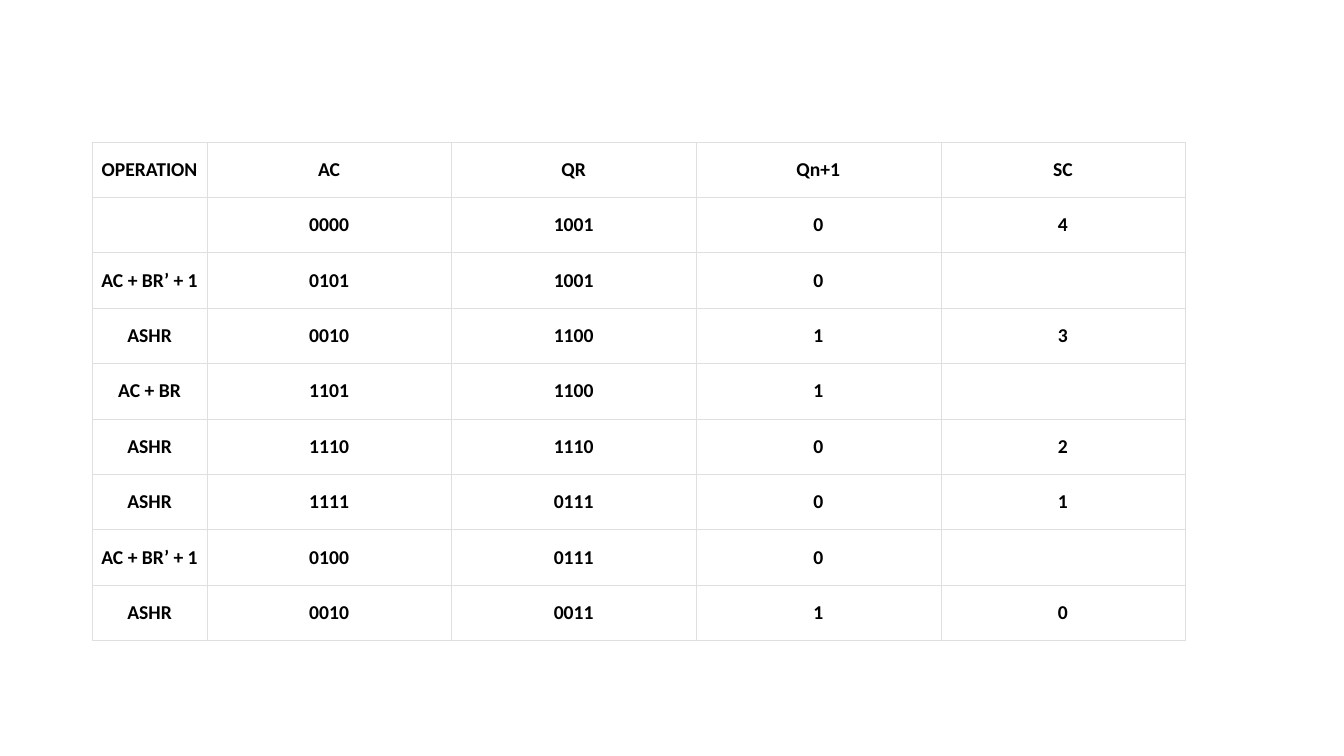
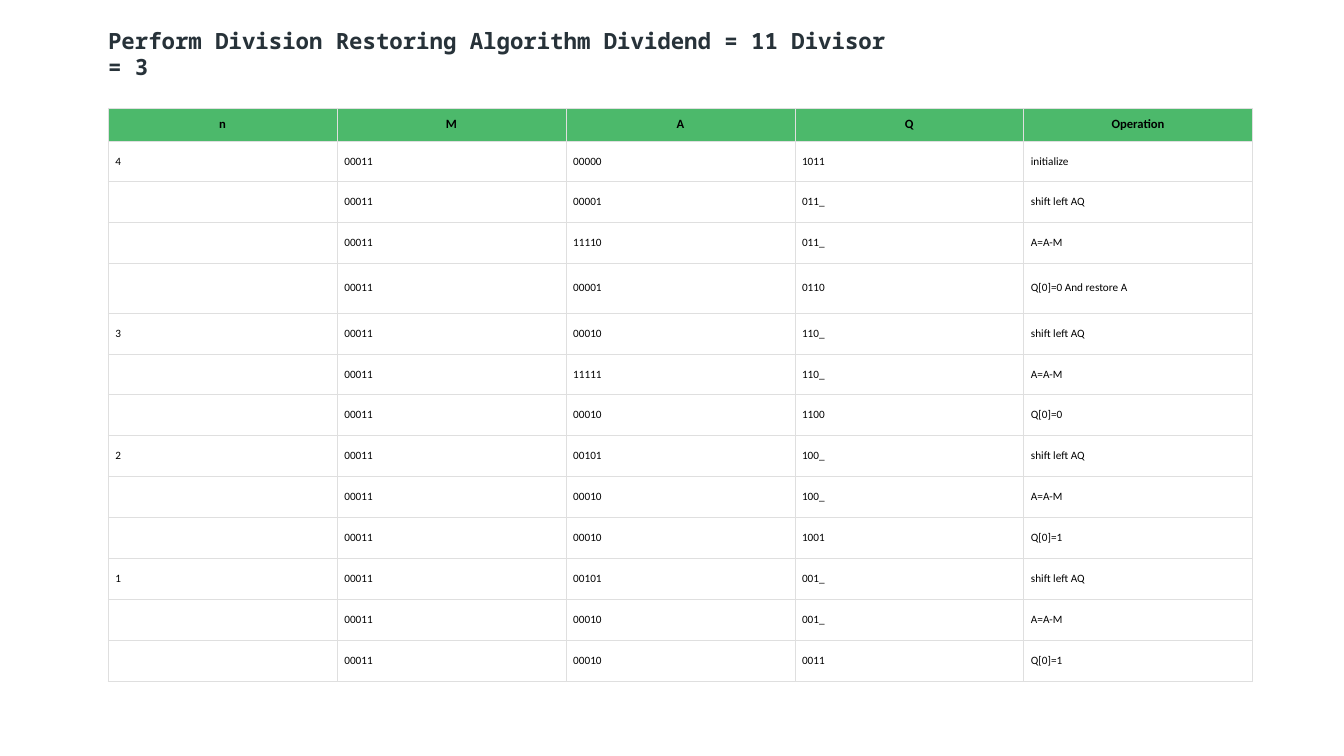
import pptx
import pptx.dml.color
import pptx.enum.text
import pptx.oxml
import pptx.oxml.ns
import pptx.util

PX = 9525
BODY_FONT, TITLE_FONT = "Calibri", "Noto Sans Mono"
BLACK, WHITE, INK, GREEN, GRID = "000000", "FFFFFF", "273239", "4CB96B", "DFDFDF"
LEFT = pptx.enum.text.PP_ALIGN.LEFT
CENTER = pptx.enum.text.PP_ALIGN.CENTER
MIDDLE = pptx.enum.text.MSO_ANCHOR.MIDDLE


def px(n):
    """Turn px into EMU."""
    return pptx.util.Emu(round(n * PX))


def rgb(color):
    """Turn a hex string into a colour."""
    return pptx.dml.color.RGBColor.from_string(color)


def write(tf, text, size=14, font=BODY_FONT, color=BLACK, bold=False, align=LEFT):
    """Write one formatted paragraph into a text frame."""
    p = tf.paragraphs[0]
    p.alignment = align
    if not text:
        p._p.get_or_add_endParaRPr().set("sz", str(size * 100))
        return
    r = p.add_run()
    r.text = text
    r.font.size = pptx.util.Pt(size)
    r.font.name = font
    r.font.bold = bold
    r.font.color.rgb = rgb(color)


def inset(box, left, top, right, bottom):
    """Set the inner margins of a cell or text frame."""
    box.margin_left, box.margin_top = px(left), px(top)
    box.margin_right, box.margin_bottom = px(right), px(bottom)


def border(cell, color=GRID, points=0.23):
    """Draw a thin line on all four sides of a cell."""
    for side in "LRTB":
        cell._tc.get_or_add_tcPr().append(pptx.oxml.parse_xml(
            f'<a:ln{side} {pptx.oxml.ns.nsdecls("a")} w="{pptx.util.Pt(points)}">'
            f'<a:solidFill><a:srgbClr val="{color}"/></a:solidFill></a:ln{side}>'))


class Deck:
    """Holds the presentation, its style and the current slide."""

    def __init__(self):
        """Start an empty widescreen presentation."""
        self.prs = pptx.Presentation()
        self.prs.slide_width, self.prs.slide_height = px(1280), px(720)

    def slide(self):
        """Add a blank slide and make it current."""
        self.s = self.prs.slides.add_slide(self.prs.slide_layouts[6])

    def title(self, text, x, y, w, h):
        """Add a slide title."""
        tf = self.s.shapes.add_textbox(px(x), px(y), px(w), px(h)).text_frame
        tf.word_wrap = True
        tf.auto_size = pptx.enum.text.MSO_AUTO_SIZE.SHAPE_TO_FIT_TEXT
        tf.vertical_anchor = MIDDLE
        inset(tf, 0, 0, 0, 10)
        write(tf, text, size=16, font=TITLE_FONT, color=INK, bold=True)

    def table(self, rows, x, y, widths, heights, style):
        """Add a table; style(row, column) gives fill, insets and text format."""
        frame = self.s.shapes.add_table(len(rows), len(widths), px(x), px(y),
                                        px(sum(widths)), px(sum(heights)))
        table = frame.table
        table.first_row = table.horz_banding = False
        for column, w in zip(table.columns, widths):
            column.width = px(w)
        for row, h in zip(table.rows, heights):
            row.height = px(h)
        for i, texts in enumerate(rows):
            for j, text in enumerate(texts):
                cell = table.cell(i, j)
                fill, margins, text_format = style(i, j)
                border(cell)
                cell.fill.solid()
                cell.fill.fore_color.rgb = rgb(fill)
                cell.vertical_anchor = MIDDLE
                inset(cell, *margins)
                write(cell.text_frame, text, **text_format)


def multiplication_style(i, j):
    """Style the multiplication table, with a tighter first column."""
    side = 10 if j else 4
    return WHITE, (side, 10, side, 10), dict(size=14, bold=True, align=CENTER)


def division_style(i, j):
    """Style the division table, with a green header row."""
    if i == 0:
        return GREEN, (6, 6, 6, 6), dict(size=9, bold=True, align=CENTER)
    return WHITE, (7, 10, 7, 10), dict(size=8)


def main():
    """Build both slides and save them."""
    deck = Deck()

    deck.slide()
    multiplication = [
        ("OPERATION", "AC", "QR", "Qn+1", "SC"),
        ("", "0000", "1001", "0", "4"),
        ("AC + BR’ + 1", "0101", "1001", "0", ""),
        ("ASHR", "0010", "1100", "1", "3"),
        ("AC + BR", "1101", "1100", "1", ""),
        ("ASHR", "1110", "1110", "0", "2"),
        ("ASHR", "1111", "0111", "0", "1"),
        ("AC + BR’ + 1", "0100", "0111", "0", ""),
        ("ASHR", "0010", "0011", "1", "0"),
    ]
    count = len(multiplication)
    deck.table(multiplication, 88, 135, [109] + [233] * 4, [475 / count] * count,
               multiplication_style)

    deck.slide()
    deck.title("Perform Division Restoring Algorithm Dividend = 11 Divisor = 3",
               103, 38, 747, 36)
    divisor = "00011"
    steps = [
        ("4", "00000", "1011", "initialize"),
        ("", "00001", "011_", "shift left AQ"),
        ("", "11110", "011_", "A=A-M"),
        ("", "00001", "0110", "Q[0]=0 And restore A"),
        ("3", "00010", "110_", "shift left AQ"),
        ("", "11111", "110_", "A=A-M"),
        ("", "00010", "1100", "Q[0]=0"),
        ("2", "00101", "100_", "shift left AQ"),
        ("", "00010", "100_", "A=A-M"),
        ("", "00010", "1001", "Q[0]=1"),
        ("1", "00101", "001_", "shift left AQ"),
        ("", "00010", "001_", "A=A-M"),
        ("", "00010", "0011", "Q[0]=1"),
    ]
    division = [("n", "M", "A", "Q", "Operation")]
    division += [(n, divisor, a, q, operation) for n, a, q, operation in steps]
    deck.table(division, 103, 103, [218] * 5, [31] + [39] * 3 + [47] + [39] * 9,
               division_style)

    deck.prs.save("out.pptx")


if __name__ == "__main__":
    main()
